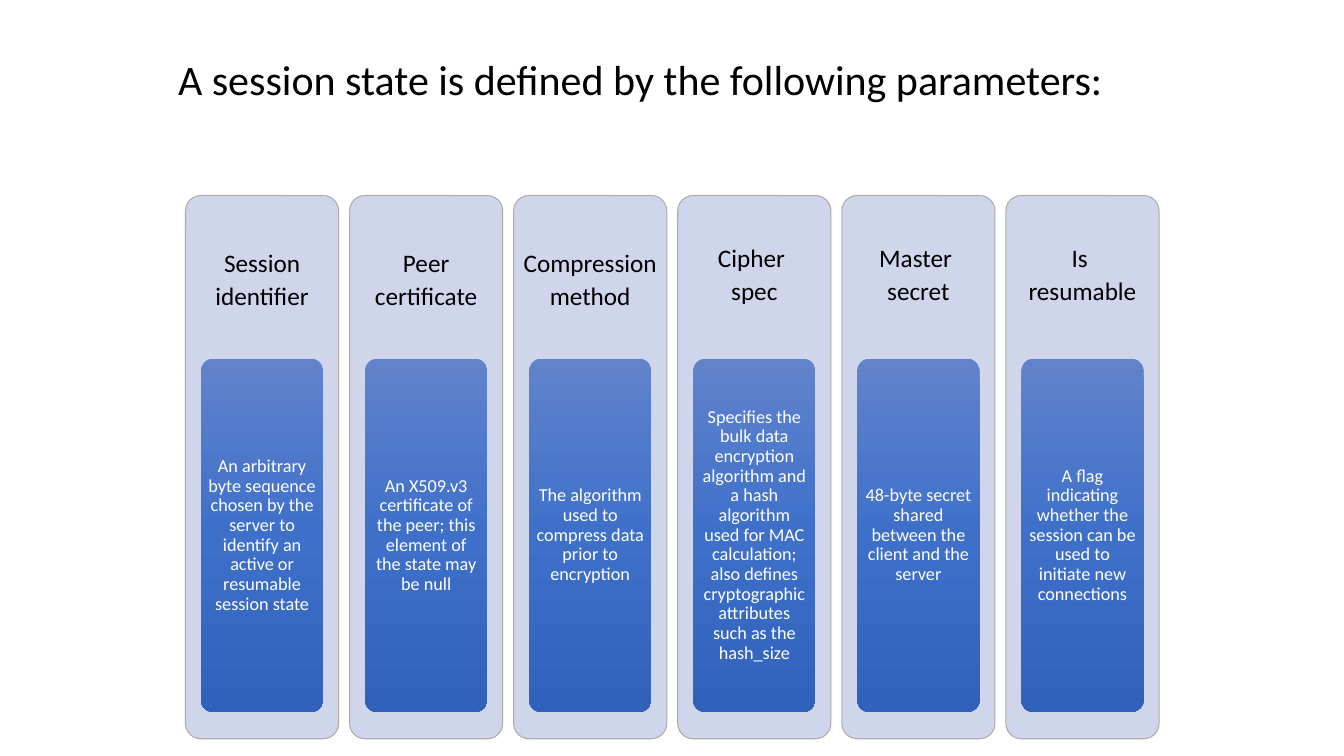
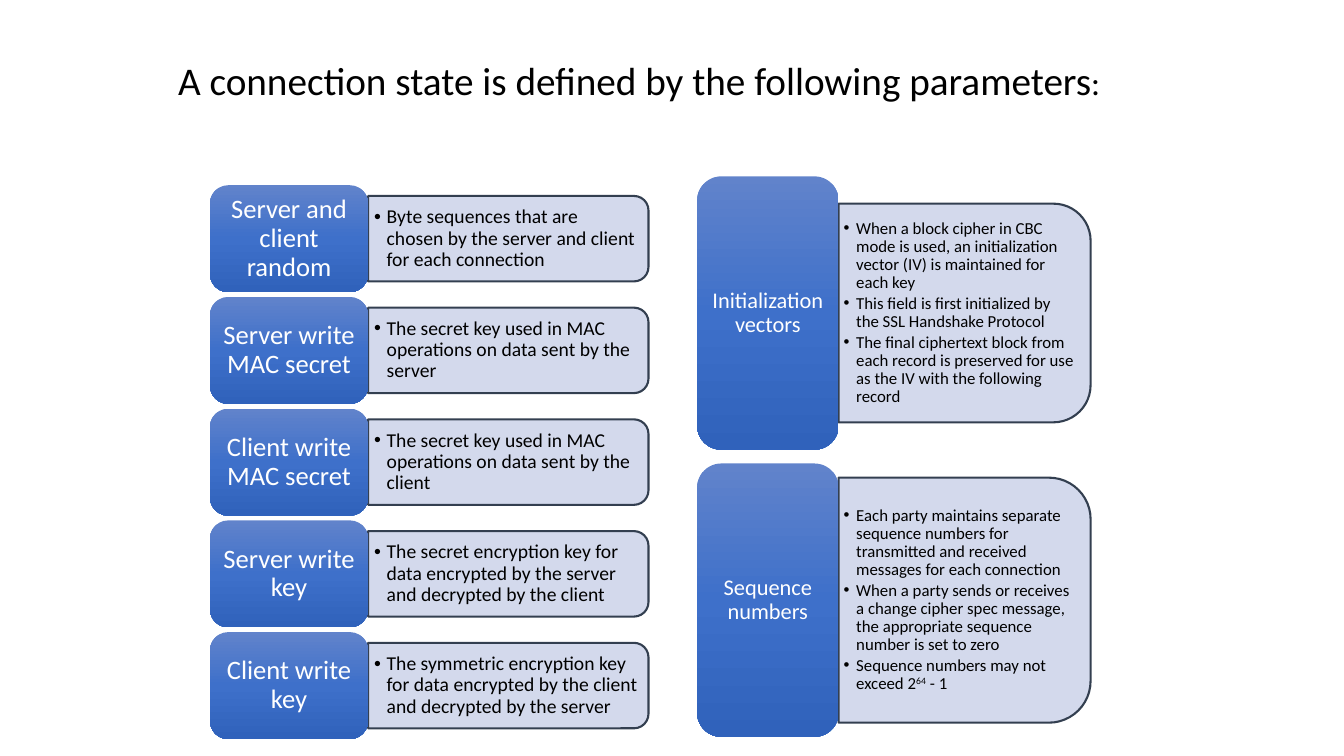
"""Build two slides on the parameters of session and connection states."""
from copy import deepcopy

from lxml import etree
from pptx import Presentation
from pptx.dml.color import RGBColor
from pptx.enum import shapes, text
from pptx.oxml import ns
from pptx.util import Pt

BLACK = RGBColor(0x00, 0x00, 0x00)
WHITE = RGBColor(0xFF, 0xFF, 0xFF)
PALE = RGBColor(0xCF, 0xD5, 0xEA)
GREY = RGBColor(0xAF, 0xAB, 0xAB)
NAVY = RGBColor(0x33, 0x3F, 0x50)
BLUES = (RGBColor(0x61, 0x83, 0xCB), RGBColor(0x3E, 0x70, 0xCA), RGBColor(0x30, 0x62, 0xBB))

FONT = "Calibri"
TITLE_ONLY = 5
CORNER = 0.17
CORNER_INSET = 0.05

SESSION = [
    (["Session identifier"],
     "An arbitrary byte sequence chosen by the server to identify an active or resumable session state"),
    (["Peer certificate"],
     "An X509.v3 certificate of the peer; this element of the state may be null"),
    (["Compression method"],
     "The algorithm used to compress data prior to encryption"),
    (["Cipher ", "spec"],
     "Specifies the bulk data encryption algorithm and a hash algorithm used for MAC calculation; "
     "also defines cryptographic attributes such as the hash_size"),
    (["Master ", "secret"],
     "48-byte secret shared between the client and the server"),
    (["Is ", "resumable"],
     "A flag indicating whether the session can be used to initiate new connections"),
]

KEYS = [
    ("Server and client random",
     "Byte sequences that are chosen by the server and client for each connection"),
    ("Server write MAC secret",
     "The secret key used in MAC operations on data sent by the server"),
    ("Client write MAC secret",
     "The secret key used in MAC operations on data sent by the client"),
    ("Server write key",
     "The secret encryption key for data encrypted by the server and decrypted by the client"),
    ("Client write key",
     "The symmetric encryption key for data encrypted by the client and decrypted by the server"),
]

COUNTERS = [
    ("Initialization vectors", 156.2, [
        "When a block cipher in CBC mode is used, an initialization vector (IV) is maintained for each key",
        "This field is first initialized by the SSL Handshake Protocol",
        "The final ciphertext block from each record is preserved for use as the IV with the following record",
    ]),
    ("Sequence numbers", 175, [
        "Each party maintains separate sequence numbers for transmitted and received messages "
        "for each connection",
        "When a party sends or receives a change cipher spec message, the appropriate sequence "
        "number is set to zero",
        "Sequence numbers may not exceed 2^64^ - 1",
    ]),
]


class Slides:
    """Hold the deck, its style and the current page."""

    def __init__(self):
        self.deck = Presentation()
        self.deck.slide_width, self.deck.slide_height = Pt(960), Pt(540)
        self.page = None

    def new_page(self, title, size, colon_size):
        """Add a page whose title ends in a colon of its own size."""
        self.page = self.deck.slides.add_slide(self.deck.slide_layouts[TITLE_ONLY])
        box = self.page.shapes.title
        box.left, box.top, box.width, box.height = Pt(120), Pt(3), Pt(732), Pt(111.6)
        frame = box.text_frame
        frame.text = title
        frame.auto_size = text.MSO_AUTO_SIZE.NONE
        frame.vertical_anchor = text.MSO_ANCHOR.MIDDLE
        para = frame.paragraphs[0]
        para.alignment, para.line_spacing = text.PP_ALIGN.LEFT, 0.9
        para.add_run().text = ":"
        for span, points in zip(para.runs, (size, colon_size)):
            self.style(span, points, BLACK)

    def style(self, span, size, color):
        """Format one run."""
        span.font.name, span.font.size = FONT, Pt(size)
        span.font.color.rgb = color

    def fill_text(self, box, lines, size, color, insets, spacing=0.9, bullets=False):
        """Fill a box with paragraphs; carets enclose superscripts."""
        frame = box.text_frame
        frame.word_wrap = True
        frame.vertical_anchor = text.MSO_ANCHOR.MIDDLE
        frame.margin_left = frame.margin_right = Pt(insets[0])
        frame.margin_top = frame.margin_bottom = Pt(insets[1])
        for index, line in enumerate(lines):
            para = frame.add_paragraph() if index else frame.paragraphs[0]
            para.line_spacing = spacing
            para.space_after = Pt(round(size * (0.15 if bullets else 0.35), 1))
            para.alignment = text.PP_ALIGN.LEFT if bullets else text.PP_ALIGN.CENTER
            if bullets:
                self.bullet(para)
            for part, words in enumerate(line.split("^")):
                span = para.add_run()
                span.text = words
                self.style(span, size, color)
                if part % 2:
                    span.font._element.set("baseline", "30000")

    def bullet(self, para):
        """Give a paragraph a hanging bullet."""
        props = para._p.get_or_add_pPr()
        props.set("marL", str(Pt(9)))
        props.set("indent", str(-Pt(9)))
        etree.SubElement(props, ns.qn("a:buFont")).set("typeface", "Arial")
        etree.SubElement(props, ns.qn("a:buChar")).set("char", "•")

    def text_box(self, left, top, width, height, *content, **options):
        """Add a text box."""
        box = self.page.shapes.add_textbox(Pt(left), Pt(top), Pt(width), Pt(height))
        self.fill_text(box, *content, **options)

    def shape(self, kind, left, top, width, height, corner):
        """Add a preset shape without shadow or line."""
        box = self.page.shapes.add_shape(kind, Pt(left), Pt(top), Pt(width), Pt(height))
        box.adjustments[0] = corner
        box.shadow.inherit = False
        box.line.fill.background()
        return box

    def pale(self, box, line_color, line_width):
        """Give a shape the pale fill and an outline."""
        box.fill.solid()
        box.fill.fore_color.rgb = PALE
        box.line.color.rgb, box.line.width = line_color, Pt(line_width)

    def panel(self, left, top, width, height):
        """Add a pale rounded panel."""
        box = self.shape(shapes.MSO_SHAPE.ROUNDED_RECTANGLE, left, top, width, height, 0.1)
        self.pale(box, GREY, 0.75)

    def blue_block(self, left, top, width, height, words, size, insets, corner=CORNER):
        """Add a rounded block with a blue gradient and white text."""
        box = self.shape(shapes.MSO_SHAPE.ROUNDED_RECTANGLE, left, top, width, height, corner)
        box.fill.gradient()
        box.fill.gradient_angle = 270
        stops = box._element.spPr.find(ns.qn("a:gradFill")).find(ns.qn("a:gsLst"))
        stops.insert(1, deepcopy(stops[0]))
        for index, stop in enumerate(box.fill.gradient_stops):
            stop.position, stop.color.rgb = index / 2, BLUES[index]
        self.fill_text(box, [words], size, WHITE, insets)

    def detail(self, left, middle, width, height, lines, size, insets):
        """Add a bulleted box rounded on its right side."""
        box = self.shape(shapes.MSO_SHAPE.ROUND_2_SAME_RECTANGLE, left + (width - height) / 2,
                         middle - width / 2, height, width, CORNER)
        box.rotation = 90
        self.pale(box, NAVY, 1.5)
        tint = box._element.spPr.find(ns.qn("a:solidFill"))[0]
        etree.SubElement(tint, ns.qn("a:alpha")).set("val", "90000")
        inset = min(width, height) * CORNER_INSET
        self.text_box(left, middle - height / 2 + inset, width - inset, height - 2 * inset,
                      lines, size, BLACK, insets, bullets=True)


def session_page(slides):
    """Draw the six session parameters as columns."""
    slides.new_page("A session state is defined by the following parameters", 30, 30)
    top, width, block_width = 139.7, 109.4, 87.4
    for index, (heading, words) in enumerate(SESSION):
        left = 132.5 + index * 117.2
        slides.panel(left, top, width, 388)
        slides.text_box(left, top, width, 116.5, heading, 18, BLACK, (5.4, 5.4),
                        spacing=0.8 if len(heading) > 1 else 1.1)
        slides.blue_block(left + (width - block_width) / 2, top + 116.5, block_width, 252.4,
                          words, 13, (2.6, 1.95), corner=0.1)


def connection_page(slides):
    """Draw the connection parameters as two lists of labelled rows."""
    slides.new_page("A connection state is defined by the following parameters", 28, 24)
    height = 76.4
    for index, (label, words) in enumerate(KEYS):
        top = 132.3 + index * 79.8
        slides.detail(263, top + height / 2, 200.2, 61.1, [words], 14, (4.2, 2.1))
        slides.blue_block(150, top, 113, height, label, 19, (5.7, 2.85))
    height = 195.2
    for index, (label, detail_height, lines) in enumerate(COUNTERS):
        top = 126 + index * 205.1
        slides.detail(599, top + height / 2, 180, detail_height, lines, 12, (3.6, 1.8))
        slides.blue_block(498, top, 101, height, label, 16, (4.8, 2.4))


def main():
    """Build and save the deck."""
    slides = Slides()
    session_page(slides)
    connection_page(slides)
    slides.deck.save("out.pptx")


if __name__ == "__main__":
    main()
